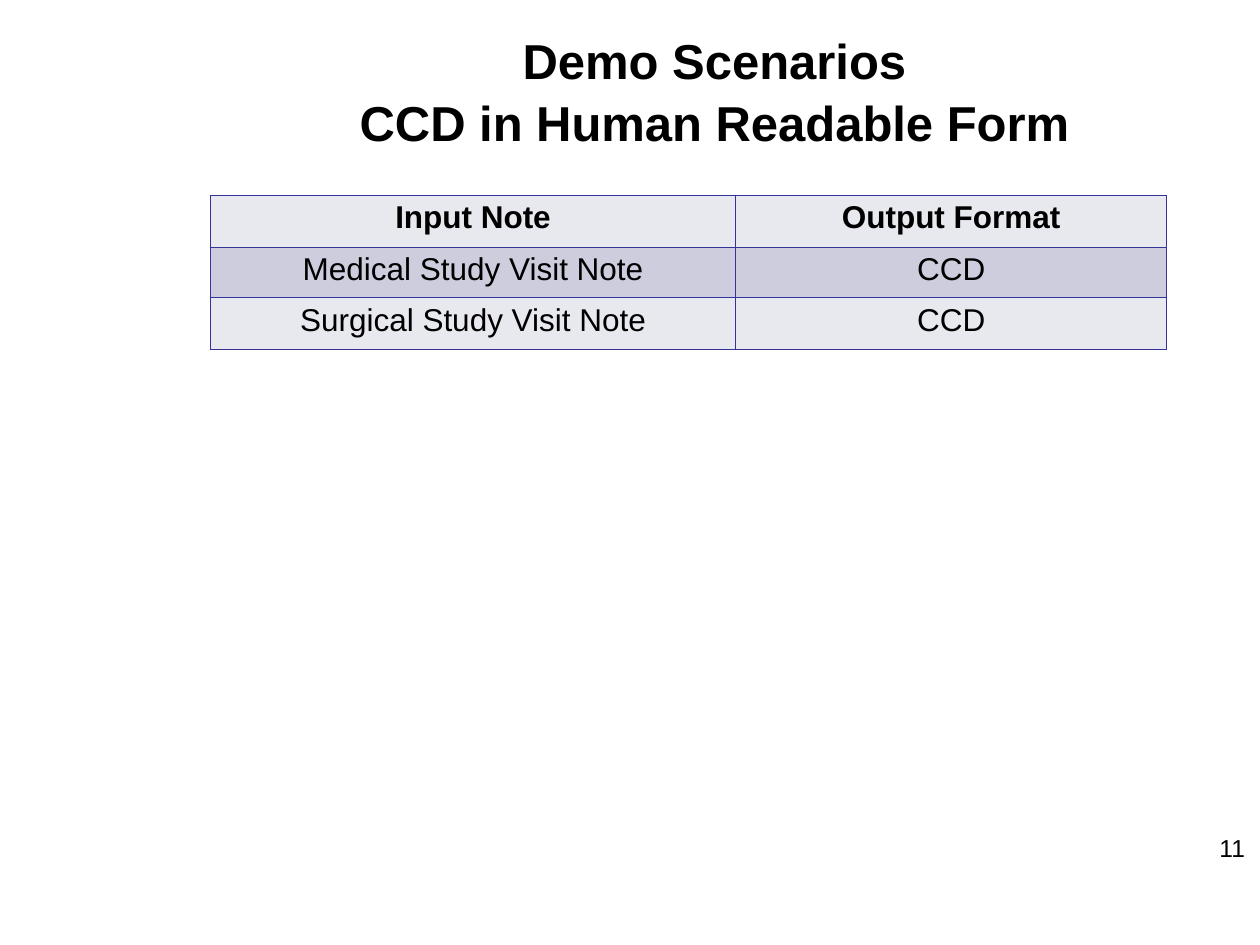
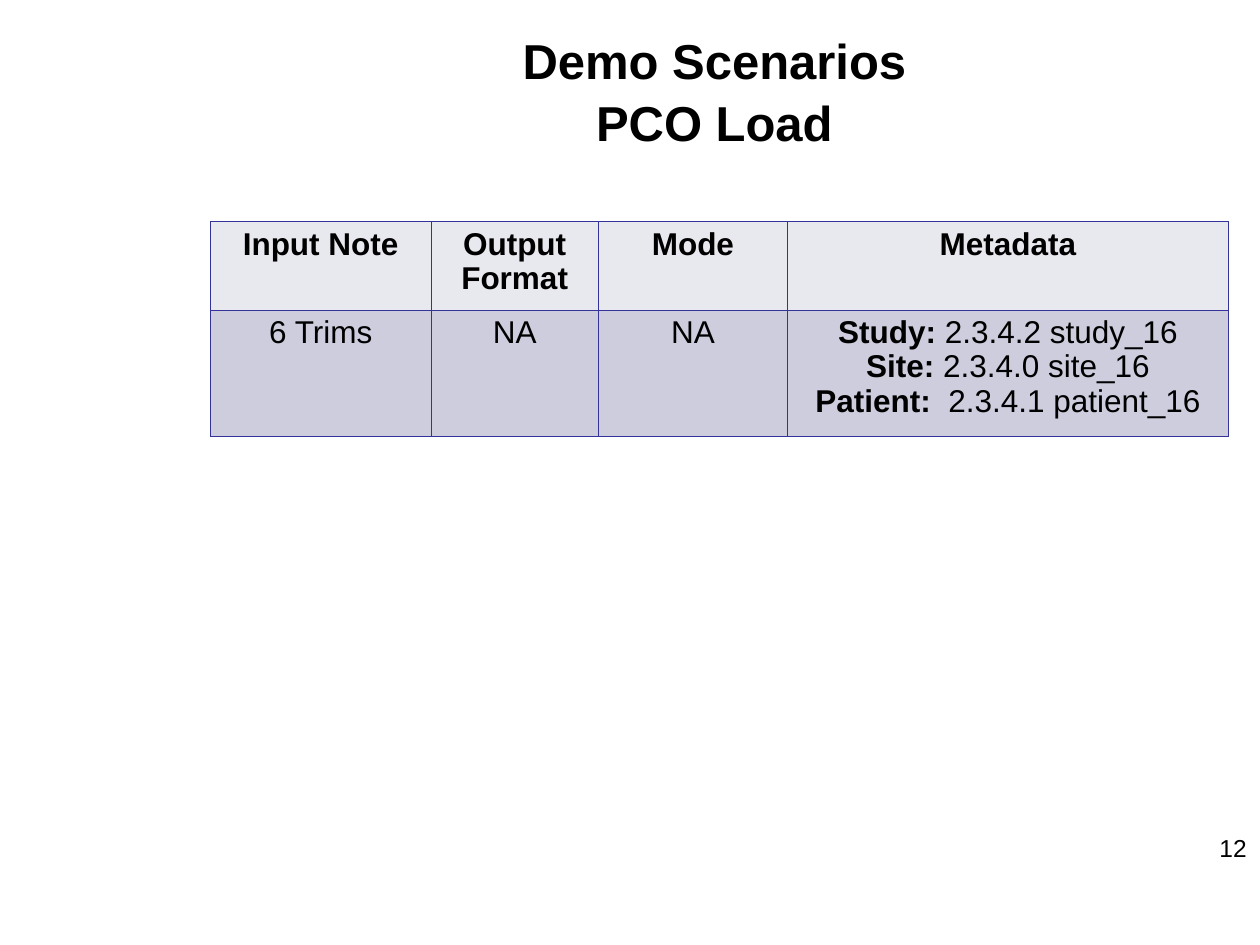
from lxml.etree import SubElement
from pptx import Presentation
from pptx.dml.color import RGBColor
from pptx.enum.text import MSO_ANCHOR as Anchor, PP_ALIGN as Align
from pptx.oxml.ns import qn
from pptx.util import Inches, Pt

COLORS = {
    "text": "000000",
    "border": "333399",
    "light": "E8E8EF",
    "dark": "CDCDDE",
}
FONT = "Arial"
TABLE_LEFT = 1.67
BORDER_WIDTH = Pt(0.45)

METADATA = [
    ("Study:", " 2.3.4.2 study_16"),
    ("Site:", " 2.3.4.0 site_16"),
    ("Patient:", "  2.3.4.1 patient_16"),
]

SLIDES = [
    {
        "title": ["Demo Scenarios", "CCD in Human Readable Form"],
        "number": "11",
        "top": 1.55,
        "widths": [4.17, 3.42],
        "heights": [0.41, 0.4, 0.41],
        "rows": [
            ["Input Note", "Output Format"],
            ["Medical Study Visit Note", "CCD"],
            ["Surgical Study Visit Note", "CCD"],
        ],
    },
    {
        "title": ["Demo Scenarios", "PCO Load"],
        "number": "12",
        "top": 1.76,
        "widths": [1.75, 1.33, 1.5, 3.5],
        "heights": [0.7, 1],
        "rows": [
            ["Input Note", "Output Format", "Mode", "Metadata"],
            ["6 Trims", "NA", "NA", METADATA],
        ],
    },
]


def color(name):
    return RGBColor.from_string(COLORS[name])


def write(frame, lines, size, align, spacing=1.0):
    for index, spans in enumerate(lines):
        para = frame.paragraphs[0] if index == 0 else frame.add_paragraph()
        para.alignment = align
        para.line_spacing = spacing
        for text, bold in spans:
            span = para.add_run()
            span.text = text
            span.font.name = FONT
            span.font.size = Pt(size)
            span.font.bold = bold
            span.font.color.rgb = color("text")


def add_text(page, place, lines, size, align, anchor=Anchor.TOP, spacing=1.0):
    box = page.shapes.add_textbox(*map(Inches, place))
    frame = box.text_frame
    frame.word_wrap = True
    frame.vertical_anchor = anchor
    write(frame, lines, size, align, spacing)


def add_borders(cell):
    properties = cell._tc.get_or_add_tcPr()
    for index, side in enumerate(("lnL", "lnR", "lnT", "lnB")):
        line = properties.makeelement(qn(f"a:{side}"), {"w": str(BORDER_WIDTH)})
        fill = SubElement(line, qn("a:solidFill"))
        SubElement(fill, qn("a:srgbClr"), val=COLORS["border"])
        properties.insert(index, line)


def cell_lines(content, header):
    if isinstance(content, str):
        return [[(content, header)]]
    return [[(label, True), (value, False)] for label, value in content]


def add_grid(page, slide):
    widths, heights, rows = slide["widths"], slide["heights"], slide["rows"]
    place = (TABLE_LEFT, slide["top"], sum(widths), sum(heights))
    table = page.shapes.add_table(len(rows), len(widths), *map(Inches, place)).table
    for column, width in zip(table.columns, widths):
        column.width = Inches(width)
    for number, (row, height) in enumerate(zip(table.rows, heights)):
        row.height = Inches(height)
        for cell, content in zip(row.cells, rows[number]):
            cell.fill.solid()
            cell.fill.fore_color.rgb = color("dark" if number % 2 else "light")
            add_borders(cell)
            lines = cell_lines(content, number == 0)
            write(cell.text_frame, lines, 18, Align.CENTER, 0.97)


def main():
    deck = Presentation()
    deck.slide_width, deck.slide_height = Inches(10), Inches(7.5)
    for slide in SLIDES:
        page = deck.slides.add_slide(deck.slide_layouts[6])
        title = [[(line, True)] for line in slide["title"]]
        add_text(page, (1.17, 0.17, 9, 1.08), title, 28, Align.CENTER, Anchor.MIDDLE, 1.05)
        add_text(page, (9.58, 6.56, 0.67, 0.52), [[(slide["number"], False)]], 14, Align.LEFT)
        add_grid(page, slide)
    deck.save("out.pptx")


if __name__ == "__main__":
    main()
